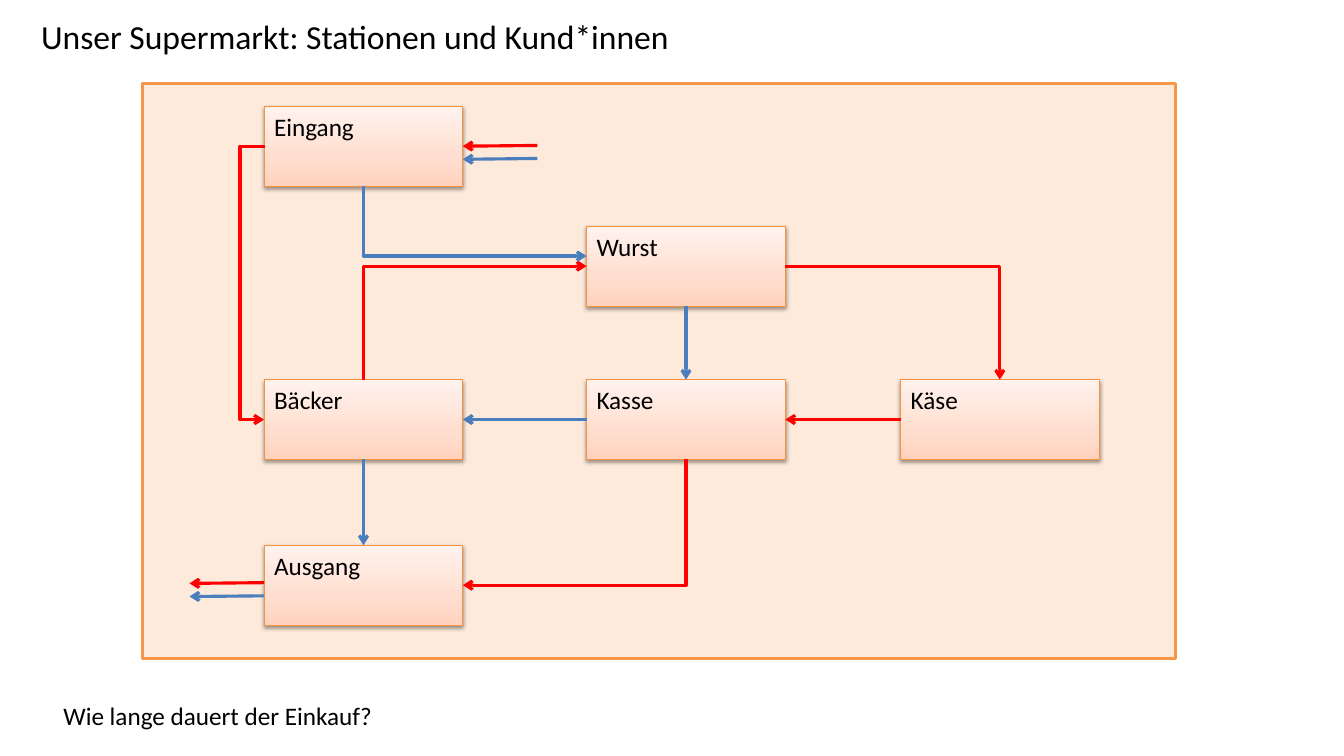
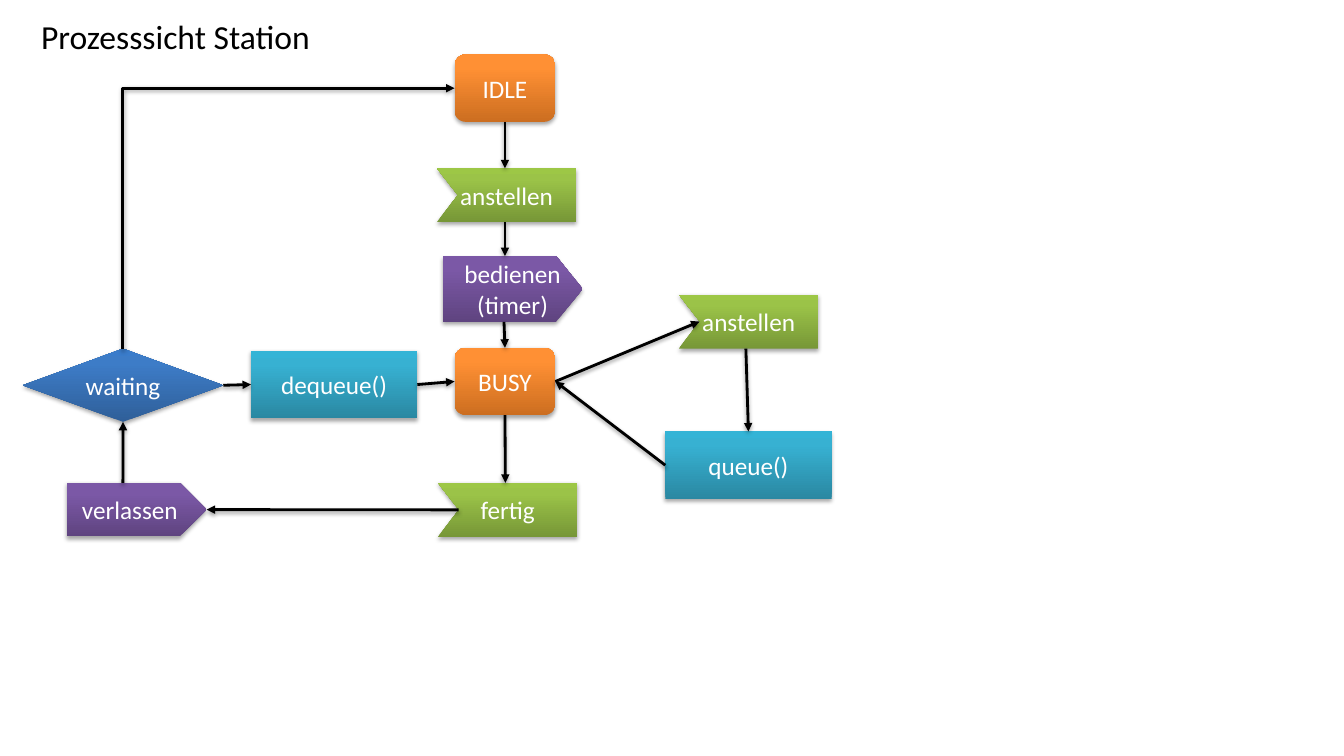
"""Build two slides on a supermarket model: the stations and their process view."""
from lxml.etree import SubElement
from pptx import Presentation
from pptx.dml.color import RGBColor
from pptx.enum.shapes import MSO_CONNECTOR, MSO_SHAPE
from pptx.enum.text import MSO_ANCHOR, MSO_AUTO_SIZE, PP_ALIGN
from pptx.oxml.ns import qn
from pptx.util import Pt

HUES = {
    "black": "000000", "white": "FFFFFF", "red": "FF0000", "blue": "4B7EBC",
    "floor": "FDEADA", "rim": "F79646", "edge": "F69240",
}
FADES = {
    "peach": ((0, "FFD2BD"), (35, "FFDED0"), (100, "FFF2ED")),
    "orange": ((0, "CC6E20"), (80, "FF9034"), (100, "FF9136")),
    "green": ((0, "779737"), (80, "9BC348"), (100, "9DC746")),
    "teal": ((0, "2A88A2"), (80, "37B1D2"), (100, "34B4D6")),
    "navy": ((0, "2F5F99"), (80, "3D7CC7"), (100, "3A7CCB")),
    "purple": ((0, "5F4480"), (80, "7B58A6"), (100, "7C57A8")),
}
FONT = "Calibri"
SIDES = "tlbr"
SOFT = (38, 3.1, 1.6)
DEEP = (35, 3.1, 1.8)

FLAG = ((1, 0), (0, 0), (0.15, 0.5), (0, 1), (1, 1))
SEND = ((0, 0), (0.81, 0), (1, 0.5), (0.81, 1), (0, 1))
KINDS = {
    "stand": (MSO_SHAPE.RECTANGLE, "peach"),
    "state": (MSO_SHAPE.FLOWCHART_ALTERNATE_PROCESS, "orange"),
    "task": (MSO_SHAPE.RECTANGLE, "teal"),
    "test": (MSO_SHAPE.DIAMOND, "navy"),
    "plate": (MSO_SHAPE.PENTAGON, "purple"),
    "send": (SEND, "purple"),
    "flag": (FLAG, "green"),
}
LOOKS = {
    "stand": {"ink": "black", "edge": "edge", "glow": SOFT,
              "anchor": MSO_ANCHOR.TOP, "align": PP_ALIGN.LEFT},
    "flow": {"ink": "white", "edge": None, "glow": DEEP,
             "anchor": MSO_ANCHOR.MIDDLE, "align": PP_ALIGN.CENTER},
}

TITLE = (22.3, 7.9, 919.4, 39.6)
FLOOR = (101.5, 59.8, 738, 410.4)
ASK = ("Wie lange dauert der Einkauf?", (38.2, 496.8, 237.6, 28.8))

COLS = (188.64, 419, 643.4)
ROWS = (76.1, 161.8, 271.2, 389.5)
STANDS = (("Bäcker", 0, 2), ("Eingang", 0, 0), ("Wurst", 1, 1),
          ("Käse", 2, 2), ("Kasse", 1, 2), ("Ausgang", 0, 3))
SIZE = (142, 57)
SHOP = [(name, "stand", name, (COLS[c], ROWS[r], *SIZE)) for name, c, r in STANDS]

STEPS = [
    ("idle", "state", "IDLE", (324.7, 38.9, 72, 48.2)),
    ("busy", "state", "BUSY", (324.7, 248.4, 72, 48.2)),
    ("queue", "task", "queue()", (475.2, 308.2, 118.8, 48.2)),
    ("wait", "test", "waiting", (16.2, 249.1, 143.3, 52.2)),
    ("next", "task", "dequeue()", (179.3, 250.6, 118.8, 48.2)),
    ("come", "flag", "anstellen", (312.1, 120.2, 99.4, 38.5)),
    ("join", "flag", "anstellen", (484.9, 210.4, 99.7, 38.6)),
    ("done", "flag", "fertig", (312.8, 344.9, 99.7, 38.6)),
    ("leave", "plate", "verlassen", (47.5, 344.9, 100.1, 38.2)),
    ("serve", "send", "bedienen\n(timer)", (316.1, 182.9, 100.1, 47)),
]

PATHS = [
    ("red", (560.9, 190.1), (714.2, 271.2), 714.2),
    ("red", "Käse l", "Kasse r"),
    ("red", (259.4, 271.2), (419, 190.1), 259.4),
    ("red", (189.4, 104.6), (188.6, 299.7), 171.4),
    ("red", (490, 328.2), (330.6, 418), 490),
    ("red", (383.8, 103.9), (330.6, 104.4)),
    ("blue", (259.6, 132.8), (419, 182.9), 259.6),
    ("blue", "Wurst b", "Kasse t"),
    ("blue", "Kasse l", "Bäcker r"),
    ("blue", "Bäcker b", "Ausgang t"),
    ("blue", (383.8, 113.2), (330.6, 113.8)),
    ("red", (188.6, 416.2), (135.4, 416.7)),
    ("blue", (188.6, 425.6), (135.4, 426.1)),
]
FLOWS = [
    ("black", "idle b", (360.7, 120.2)),
    ("black", (360.7, 158.7), (360.7, 182.9)),
    ("black", "busy b", (361, 344.9)),
    ("black", "next r", "busy l"),
    ("black", (87.8, 249.1), (324.7, 63), 87.8),
    ("black", "busy r", (499.7, 229.7)),
    ("black", (532.8, 249), "queue t"),
    ("black", "queue l", "busy r"),
    ("black", "wait r", "next l"),
    ("black", (327.6, 364.2), "leave r"),
    ("black", (87.8, 344.9), "wait b"),
    ("black", (360, 229.9), "busy t"),
]
PAGES = [
    {"title": "Unser Supermarkt: Stationen und Kund*innen", "boxes": SHOP,
     "look": "stand", "lines": PATHS, "floor": FLOOR, "ask": ASK,
     "pen": {"width": 2.25, "head": "arrow", "glow": None}},
    {"title": "Prozesssicht Station", "boxes": STEPS, "look": "flow",
     "lines": FLOWS, "pen": {"width": 2, "head": "triangle", "glow": SOFT}},
]


def put(item, **vals):
    for key, val in vals.items():
        setattr(item, key, val)


def tint(hue):
    return RGBColor.from_string(HUES[hue])


def add(root, tag, **vals):
    return SubElement(root, qn("a:" + tag), {k: str(v) for k, v in vals.items()})


def shade(item, glow):
    base = add(item._element.spPr, "effectLst")
    if glow:
        force, blur, gap = glow
        cast = add(base, "outerShdw", blurRad=Pt(blur), dist=Pt(gap),
                   dir=90 * 60000, rotWithShape=0)
        add(add(cast, "srgbClr", val=HUES["black"]), "alpha", val=force * 1000)


def fade(item, stops):
    root = add(item._element.spPr, "gradFill", rotWithShape=1)
    base = add(root, "gsLst")
    for pos, code in stops:
        add(add(base, "gs", pos=pos * 1000), "srgbClr", val=code)
    add(root, "lin", ang=270 * 60000, scaled=0)


def edge(item, hue, width):
    if hue:
        item.line.color.rgb = tint(hue)
        item.line.width = Pt(width)
    else:
        item.line.fill.background()


def write(item, text, size, ink, frame, para):
    body = item.text_frame
    body.text = text
    put(body, **frame)
    for part in body.paragraphs:
        put(part, **para)
        put(part.font, name=FONT, size=Pt(size))
        part.font.color.rgb = tint(ink)


def label(slide, text, area, size, frame, para):
    item = slide.shapes.add_textbox(*map(Pt, area))
    write(item, text, size, "black", frame, para)


def shape(slide, form, area):
    if not isinstance(form, tuple):
        return slide.shapes.add_shape(form, *map(Pt, area))
    x, y, w, h = area
    spots = [(Pt(x + w * a), Pt(y + h * b)) for a, b in form]
    pen = slide.shapes.build_freeform(*spots[0], scale=1)
    pen.add_line_segments(spots[1:], close=True)
    return pen.convert_to_shape()


def box(slide, kind, text, area, look):
    form, hue = KINDS[kind]
    item = shape(slide, form, area)
    fade(item, FADES[hue])
    edge(item, look["edge"], 0.75)
    shade(item, look["glow"])
    frame = {"word_wrap": True, "vertical_anchor": look["anchor"]}
    write(item, text, 18, look["ink"], frame, {"alignment": look["align"]})
    return item


def bend(item, start, end, turn):
    form = item._element.spPr.find(qn("a:prstGeom"))
    if turn == end[0]:
        form.set("prst", "bentConnector2")
        return
    ratio = (turn - start[0]) / (end[0] - start[0])
    hints = form.find(qn("a:avLst"))
    add(hints, "gd", name="adj1", fmla=f"val {round(ratio * 100000)}")


def link(slide, made, pen, hue, start, end, turn=None):
    kind = MSO_CONNECTOR.STRAIGHT if turn is None else MSO_CONNECTOR.ELBOW
    ends = [(0, 0) if isinstance(e, str) else e for e in (start, end)]
    item = slide.shapes.add_connector(kind, *(Pt(v) for e in ends for v in e))
    for spot, join in ((start, item.begin_connect), (end, item.end_connect)):
        if isinstance(spot, str):
            name, side = spot.split()
            join(made[name], SIDES.index(side))
    if turn is not None:
        bend(item, start, end, turn)
    edge(item, hue, pen["width"])
    add(item.line._get_or_add_ln(), "tailEnd", type=pen["head"])
    shade(item, pen["glow"])


def page(deck, plan):
    slide = deck.slides.add_slide(deck.slide_layouts[6])
    if "floor" in plan:
        floor = shape(slide, MSO_SHAPE.RECTANGLE, plan["floor"])
        floor.fill.solid()
        floor.fill.fore_color.rgb = tint("floor")
        edge(floor, "rim", 2)
        shade(floor, None)
    label(slide, plan["title"], TITLE, 24,
          {"word_wrap": True, "vertical_anchor": MSO_ANCHOR.MIDDLE},
          {"line_spacing": 0.9})
    look = LOOKS[plan["look"]]
    made = {name: box(slide, *rest, look) for name, *rest in plan["boxes"]}
    for line in plan["lines"]:
        link(slide, made, plan["pen"], *line)
    if "ask" in plan:
        label(slide, *plan["ask"], 18,
              {"word_wrap": False, "auto_size": MSO_AUTO_SIZE.SHAPE_TO_FIT_TEXT}, {})


deck = Presentation()
put(deck, slide_width=Pt(960), slide_height=Pt(540))
for plan in PAGES:
    page(deck, plan)
deck.save("out.pptx")
